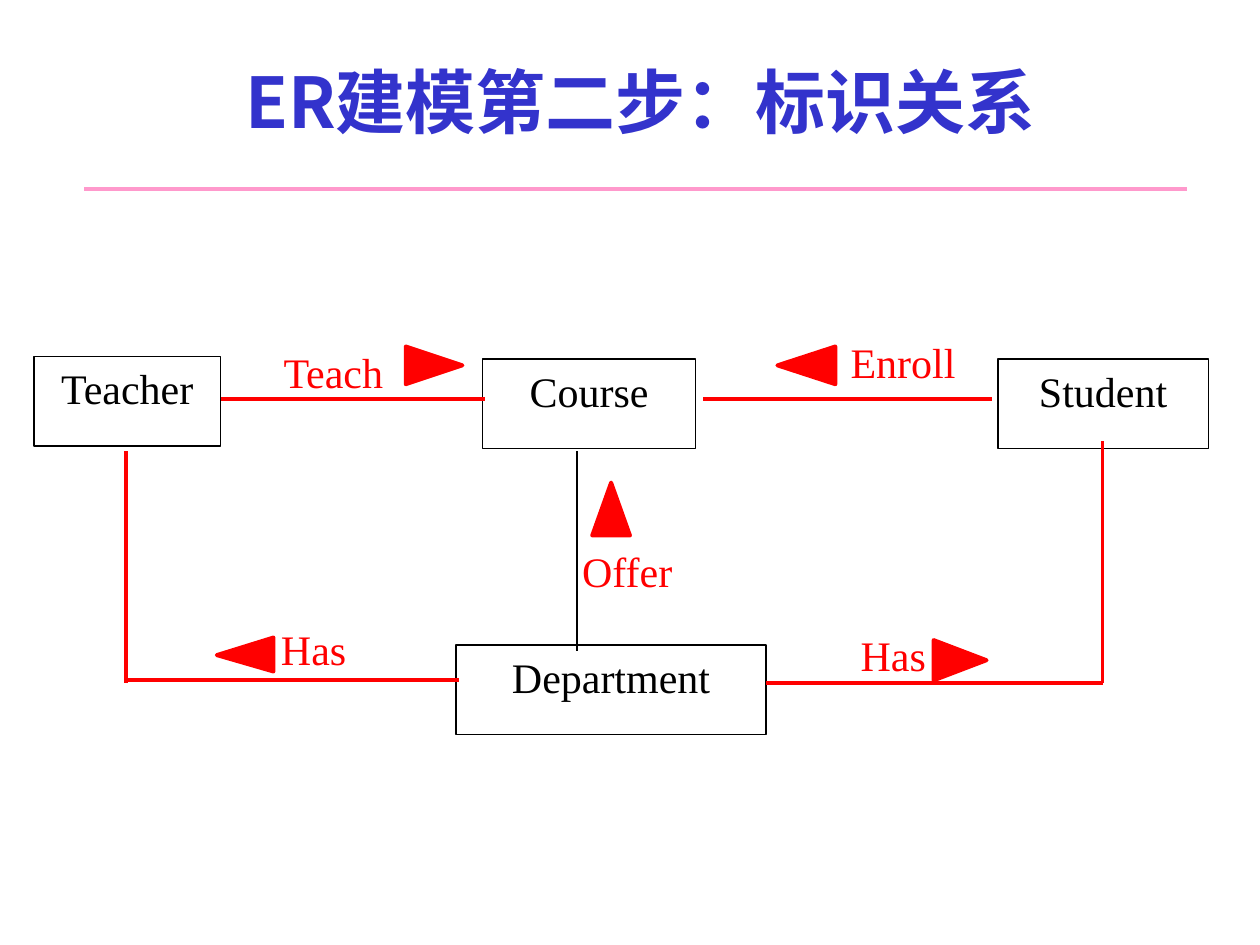
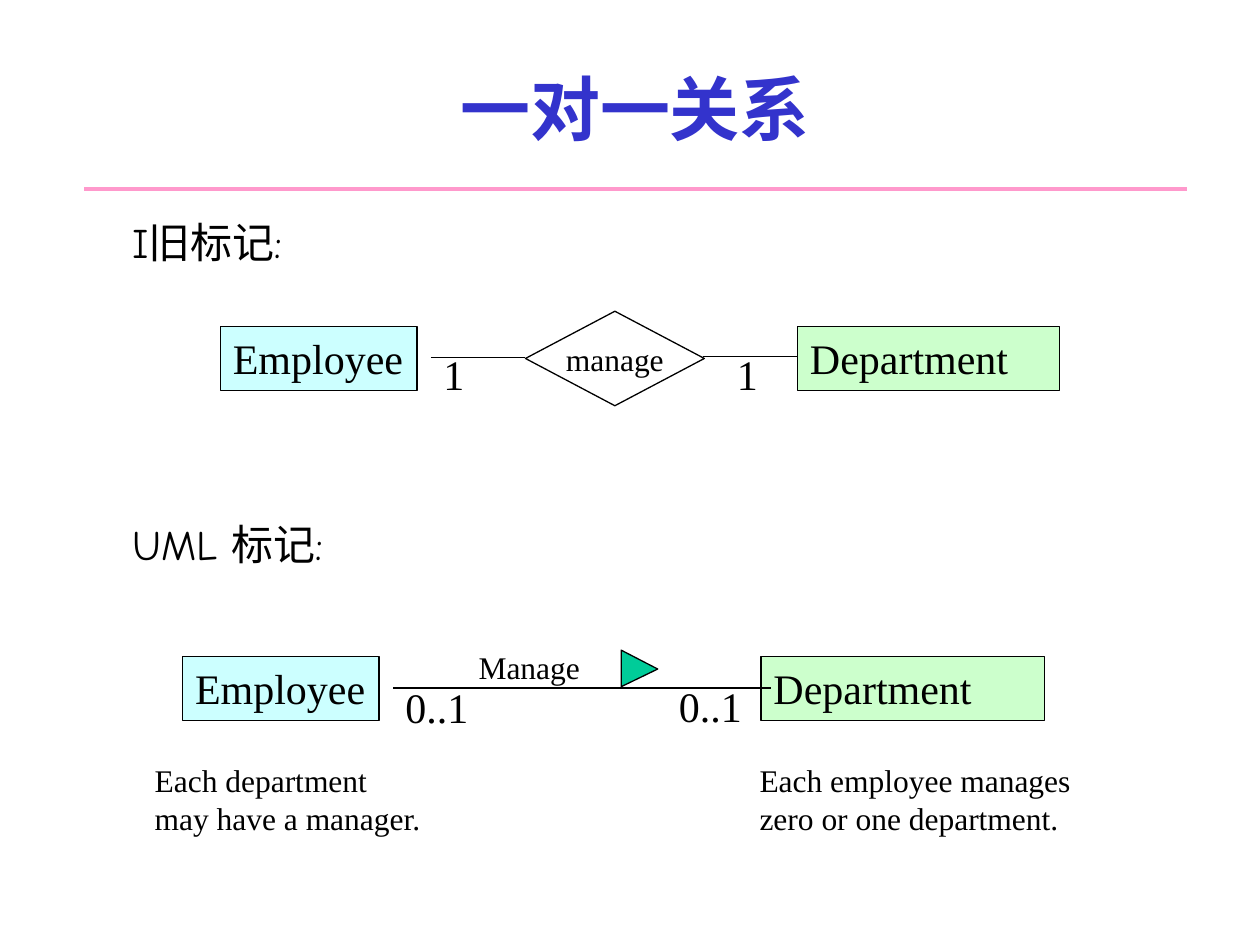
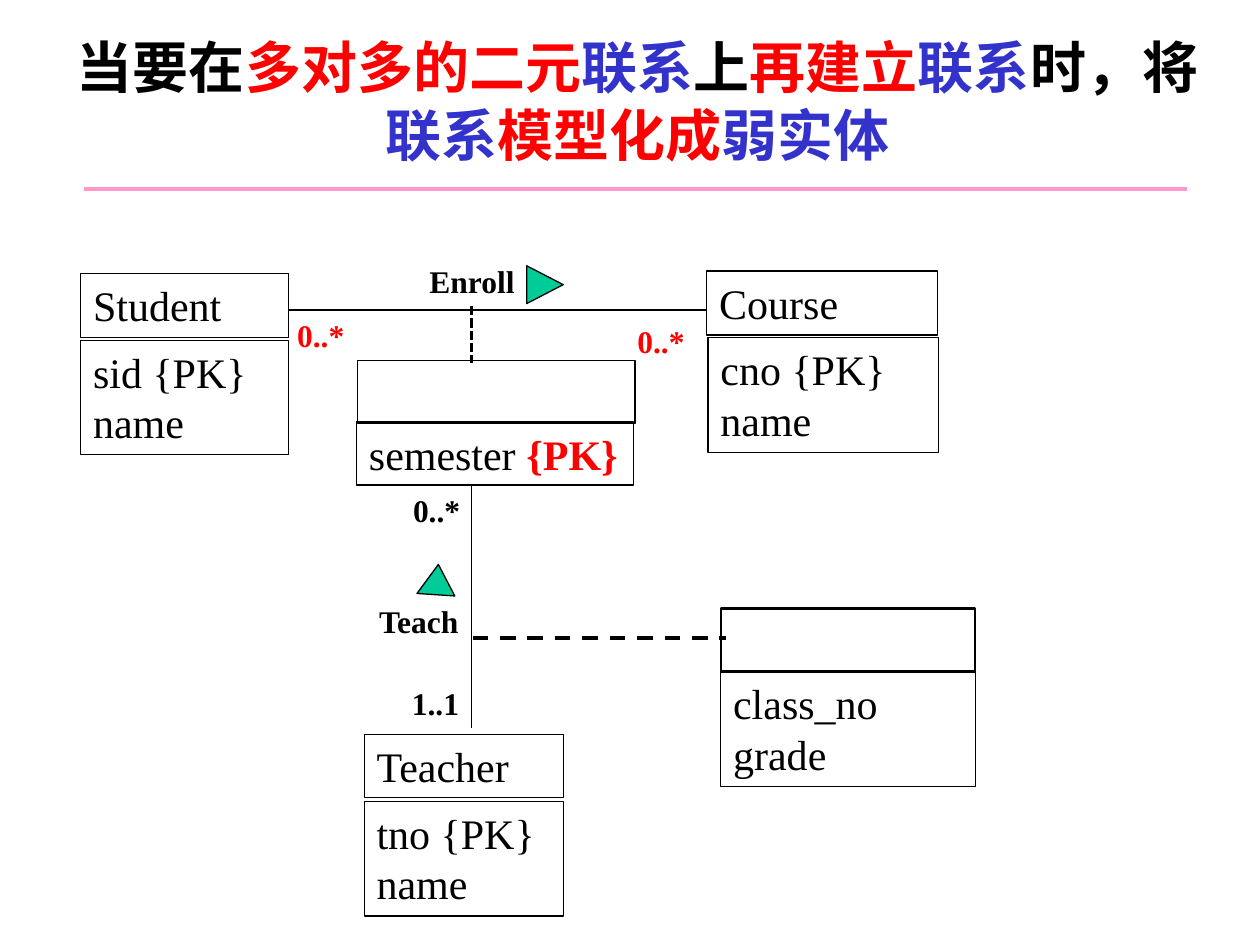
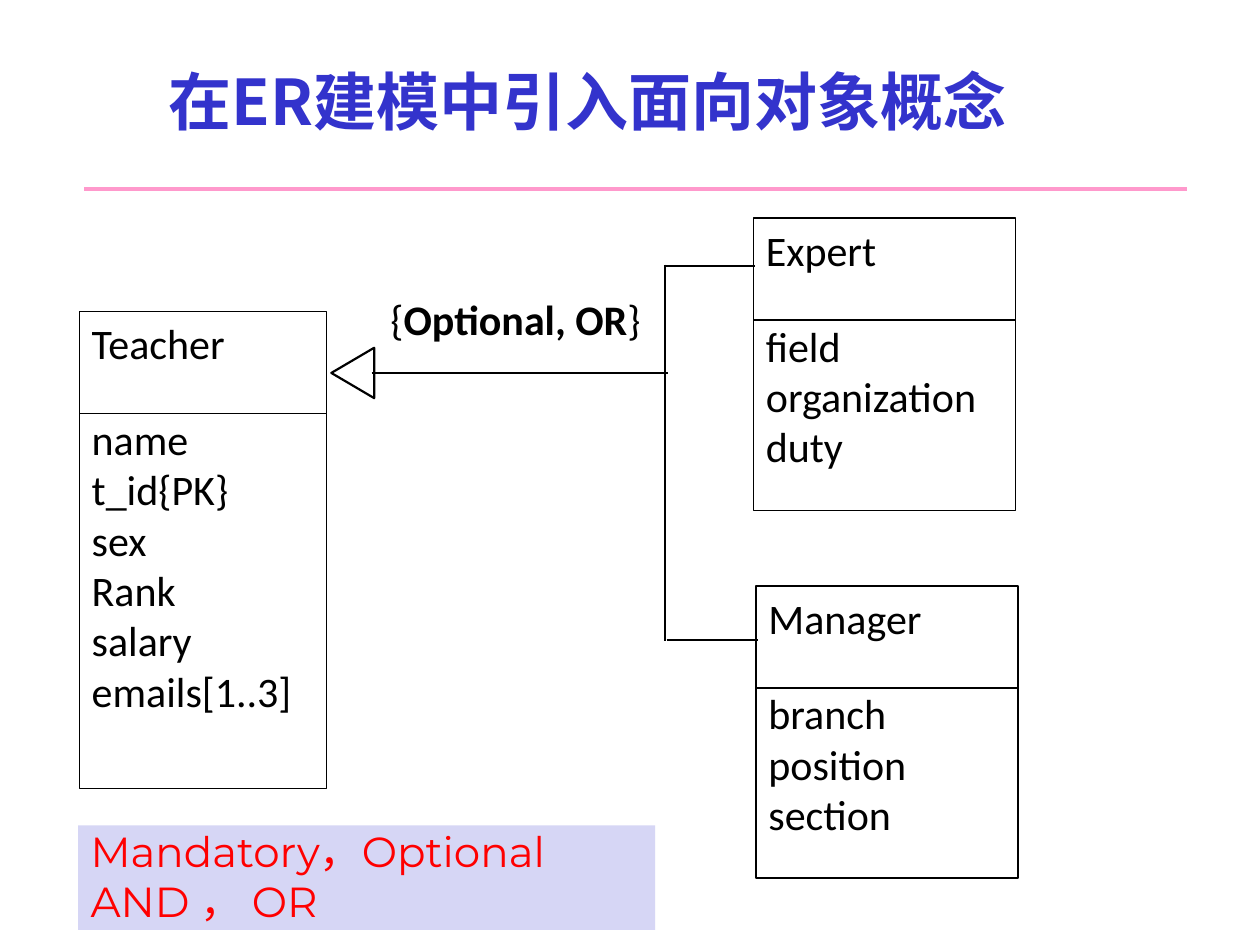
from dataclasses import dataclass

from lxml.etree import SubElement
from pptx import Presentation
from pptx.dml.color import RGBColor
from pptx.enum.dml import MSO_LINE
from pptx.enum.shapes import MSO_CONNECTOR, MSO_SHAPE
from pptx.enum.text import MSO_ANCHOR, PP_ALIGN
from pptx.oxml.ns import qn
from pptx.util import Inches, Pt


@dataclass(frozen=True)
class Theme:
    black: str = "000000"
    white: str = "FFFFFF"
    red: str = "FF0000"
    blue: str = "3333CC"
    pink: str = "FF99CC"
    cyan: str = "CCFFFF"
    pale_green: str = "CCFFCC"
    green: str = "00CC99"
    lavender: str = "D6D6F5"
    title_font: str = "Noto Sans CJK SC"
    diagram_font: str = "Times New Roman"
    class_font: str = "Calibri"
    heading_font: str = "Comic Neue"
    note_font: str = "Montserrat"
    title: int = 40
    long_title: int = 36
    two_line_title: int = 32
    body: int = 24
    small: int = 18
    thin: float = 0.75
    medium: float = 1.25
    thick: float = 2.25


theme = Theme()


def add_box(page, at, lines=(), kind=None, fill=None, line=None, width=theme.thin,
            font=theme.diagram_font, size=theme.body, color=theme.black, bold=False,
            align=PP_ALIGN.LEFT, anchor=MSO_ANCHOR.TOP, inset=(0.1, 0.05), wrap=True):
    place = [Inches(value) for value in at]
    if kind is None:
        box = page.shapes.add_textbox(*place)
    else:
        box = page.shapes.add_shape(kind, *place)
        box.shadow.inherit = False
    if fill:
        box.fill.solid()
        box.fill.fore_color.rgb = RGBColor.from_string(fill)
    else:
        box.fill.background()
    if line:
        box.line.color.rgb = RGBColor.from_string(line)
        box.line.width = Pt(width)
    else:
        box.line.fill.background()
    frame = box.text_frame
    frame.word_wrap = wrap
    frame.vertical_anchor = anchor
    frame.margin_left = frame.margin_right = Inches(inset[0])
    frame.margin_top = frame.margin_bottom = Inches(inset[1])
    for index, spans in enumerate(lines):
        para = frame.add_paragraph() if index else frame.paragraphs[0]
        para.alignment = align
        para.font.name = font
        para.font.size = Pt(size)
        para.font.bold = bold
        para.font.color.rgb = RGBColor.from_string(color)
        SubElement(para._p.pPr.find(qn("a:defRPr")), qn("a:ea"), typeface=theme.title_font)
        if isinstance(spans, str):
            spans = [(spans, color, bold)]
        for text, span_color, span_bold in spans:
            span = para.add_run()
            span.text = text
            if span_color != color:
                span.font.color.rgb = RGBColor.from_string(span_color)
            if span_bold != bold:
                span.font.bold = span_bold
    return box


def add_line(page, start, end, color=theme.black, width=theme.thin, dash=None):
    ends = [Inches(value) for value in (*start, *end)]
    connector = page.shapes.add_connector(MSO_CONNECTOR.STRAIGHT, *ends)
    connector.line.color.rgb = RGBColor.from_string(color)
    connector.line.width = Pt(width)
    if dash:
        connector.line.dash_style = dash
    SubElement(connector._element.spPr, qn("a:effectLst"))


deck = Presentation()
deck.slide_width = Inches(10)
deck.slide_height = Inches(7.5)

weak_entity_title = [
    ("当要在", theme.black, True), ("多对多的二元", theme.red, True),
    ("联系", theme.blue, True), ("上", theme.black, True),
    ("再建立", theme.red, True), ("联系", theme.blue, True),
    ("时，将", theme.black, True), ("联系", theme.blue, True),
    ("模型化成", theme.red, True), ("弱实体", theme.blue, True),
]
titles = [
    ("ER建模第二步：标识关系", (0.83, 0.17, 8.5, 1.25), theme.title),
    ("一对一关系", (0.79, 0.23, 8.5, 1.25), theme.title),
    (weak_entity_title, (0.4, 0.17, 9.32, 1.25), theme.two_line_title),
    ("在ER建模中引入面向对象概念", (0, 0.17, 9.33, 1.25), theme.long_title),
]
pages = []
for title, at, size in titles:
    page = deck.slides.add_slide(deck.slide_layouts[6])
    add_line(page, (0.67, 1.5), (9.42, 1.5), theme.pink, 2)
    add_box(page, at, [title], font=theme.title_font, size=size, color=theme.blue, bold=True,
            align=PP_ALIGN.CENTER, anchor=MSO_ANCHOR.MIDDLE)
    pages.append(page)
relations, one_to_one, weak_entity, inheritance = pages

for name, left, top, width in [
    ("Student", 7.92, 2.85, 1.67),
    ("Department", 3.62, 5.12, 2.46),
    ("Course", 3.83, 2.85, 1.69),
    ("Teacher", 0.27, 2.83, 1.48),
]:
    add_box(relations, (left, top, width, 0.71), [name], MSO_SHAPE.RECTANGLE,
            theme.white, theme.black, align=PP_ALIGN.CENTER)
for start, end in [
    ((1.75, 3.17), (3.85, 3.17)),
    ((5.58, 3.17), (7.87, 3.17)),
    ((1, 3.58), (1, 5.42)),
    ((1, 5.4), (3.64, 5.4)),
    ((8.75, 3.5), (8.75, 5.42)),
    ((6.08, 5.42), (8.75, 5.42)),
]:
    add_line(relations, start, end, theme.red, theme.thick)
add_line(relations, (4.58, 3.58), (4.58, 5.17))
for name, at in [
    ("Offer", (4.62, 4.33, 1.3, 0.5)),
    ("Teach", (2.25, 2.75, 1.11, 0.32)),
    ("Enroll", (6.75, 2.67, 1.12, 0.49)),
    ("Has", (2.23, 4.95, 1.19, 0.46)),
    ("Has", (6.83, 5, 0.88, 0.33)),
]:
    add_box(relations, at, [name], color=theme.red, inset=(0, 0))
offer_arrow = add_box(relations, (4.7, 3.83, 0.3, 0.42), kind=MSO_SHAPE.FLOWCHART_MERGE,
                      fill=theme.red, line=theme.red, width=theme.thick)
offer_arrow.rotation = 180

for heading, top in [("I旧标记:", 1.67), ("UML 标记:", 4.07)]:
    add_box(one_to_one, (0.95, top, 8.8, 0.5), [heading], font=theme.heading_font)
for employee_left, department_left, department_width, top in [
    (1.75, 6.33, 2.08, 2.59),
    (1.45, 6.04, 2.25, 5.21),
]:
    add_box(one_to_one, (employee_left, top, 1.56, 0.51), ["Employee"], MSO_SHAPE.RECTANGLE,
            theme.cyan, theme.black, wrap=False)
    add_box(one_to_one, (department_left, top, department_width, 0.51), ["Department"],
            MSO_SHAPE.RECTANGLE, theme.pale_green, theme.black)
add_box(one_to_one, (4.17, 2.47, 1.42, 0.75), ["manage"], MSO_SHAPE.DIAMOND, line=theme.black,
        size=theme.small, align=PP_ALIGN.CENTER, anchor=MSO_ANCHOR.MIDDLE, wrap=False)
for start, end in [
    ((3.42, 2.84), (4.17, 2.84)),
    ((5.58, 2.83), (6.33, 2.83)),
    ((3.12, 5.46), (6.12, 5.46)),
]:
    add_line(one_to_one, start, end)
for count, left, top, width in [
    ("1", 3.42, 2.72, 0.37),
    ("1", 5.75, 2.72, 0.37),
    ("0..1", 3.12, 5.36, 0.7),
    ("0..1", 5.29, 5.35, 0.7),
]:
    add_box(one_to_one, (left, top, width, 0.5), [count], wrap=False)
for lines, at in [
    (["Manage"], (3.7, 5.09, 1.27, 0.4)),
    (["Each department", "may have a manager."], (1.13, 5.99, 2.33, 0.7)),
    (["Each employee manages", "zero or one department."], (5.93, 5.99, 2.67, 0.7)),
]:
    add_box(one_to_one, at, lines, size=theme.small, wrap=False)

for lines, at, border in [
    (["Teacher"], (2.89, 5.83, 1.58, 0.5), theme.thin),
    (["tno {PK}", "name"], (2.89, 6.36, 1.58, 0.91), theme.thin),
    ([], (5.72, 4.83, 2.02, 0.5), theme.medium),
    (["class_no", "grade"], (5.72, 5.33, 2.02, 0.91), theme.thin),
    (["Student"], (0.64, 2.17, 1.65, 0.51), theme.thin),
    (["sid {PK}", "name"], (0.64, 2.7, 1.65, 0.91), theme.thin),
    (["Course"], (5.61, 2.15, 1.83, 0.51), theme.thin),
    (["cno {PK}", "name"], (5.62, 2.68, 1.83, 0.91), theme.thin),
    ([], (2.84, 2.86, 2.2, 0.5), theme.thin),
    ([[("semester ", theme.black, False), ("{PK}", theme.red, True)]],
     (2.83, 3.35, 2.2, 0.5), theme.thin),
]:
    add_box(weak_entity, at, lines, MSO_SHAPE.RECTANGLE, line=theme.black, width=border)
add_line(weak_entity, (3.74, 3.85), (3.74, 5.78))
add_line(weak_entity, (2.29, 2.46), (5.6, 2.46))
add_line(weak_entity, (3.75, 5.06), (5.76, 5.06), width=theme.thick, dash=MSO_LINE.DASH)
add_line(weak_entity, (3.74, 2.43), (3.74, 2.88), width=1.75, dash=MSO_LINE.SQUARE_DOT)
for label, left, top, width, color in [
    ("1..1", 3.17, 5.38, 0.6, theme.black),
    ("Teach", 2.91, 4.73, 0.85, theme.black),
    ("0..*", 3.18, 3.85, 0.6, theme.black),
    ("0..*", 2.26, 2.46, 0.6, theme.red),
    ("Enroll", 3.31, 2.03, 0.9, theme.black),
    ("0..*", 4.96, 2.51, 0.6, theme.red),
]:
    add_box(weak_entity, (left, top, width, 0.4), [label], size=theme.small, color=color,
            bold=True, wrap=False)

note = add_box(inheritance, (0.62, 6.55, 4.58, 0.83), ["Mandatory，Optional", "AND ， OR"],
               MSO_SHAPE.RECTANGLE, theme.lavender, font=theme.note_font, color=theme.red)
for para in note.text_frame.paragraphs:
    para.line_spacing = 0.9
    para.space_before = Pt(2.4)
for name, attributes, left, top, width, height in [
    ("Teacher", ["name", "t_id{PK}", "sex", "Rank", "salary", "emails[1..3]"],
     0.63, 2.47, 1.96, 2.98),
    ("Expert", ["field", "organization", "duty"], 5.98, 1.73, 2.08, 1.51),
    ("Manager", ["branch", "position", "section"], 6, 4.65, 2.08, 1.51),
]:
    add_box(inheritance, (left, top, width, 0.81), [name], MSO_SHAPE.RECTANGLE,
            theme.white, theme.black, font=theme.class_font)
    add_box(inheritance, (left, top + 0.81, width, height), attributes, MSO_SHAPE.RECTANGLE,
            theme.white, theme.black, font=theme.class_font, inset=(0.1, 0))
parent_arrow = add_box(inheritance, (2.6, 2.79, 0.4, 0.34), kind=MSO_SHAPE.ISOSCELES_TRIANGLE,
                       line=theme.black, width=theme.medium)
parent_arrow.rotation = 270
for start, end in [
    ((2.95, 2.96), (5.3, 2.96)),
    ((5.27, 2.11), (5.99, 2.11)),
    ((5.29, 5.08), (6.02, 5.08)),
    ((5.28, 2.1), (5.28, 5.09)),
]:
    add_line(inheritance, start, end, width=theme.medium)
constraint = [("{", theme.black, False), ("Optional, OR", theme.black, True),
              ("}", theme.black, False)]
add_box(inheritance, (3, 2.28, 2.33, 0.81), [constraint], font=theme.class_font)

red_style = (theme.red, theme.red, theme.thick)
green_style = (theme.green, theme.black, theme.thin)
for page, points, (fill, line, width) in [
    (relations, [(3.22, 2.75), (3.67, 2.9), (3.22, 3.05)], red_style),
    (relations, [(6.63, 2.75), (6.17, 2.9), (6.63, 3.05)], red_style),
    (relations, [(7.41, 5.08), (7.83, 5.24), (7.41, 5.4)], red_style),
    (relations, [(2.17, 5.06), (1.72, 5.2), (2.17, 5.33)], red_style),
    (one_to_one, [(4.93, 5.16), (5.22, 5.31), (4.93, 5.45)], green_style),
    (weak_entity, [(3.61, 4.73), (3.48, 4.48), (3.31, 4.71)], green_style),
    (weak_entity, [(4.18, 2.11), (4.47, 2.26), (4.18, 2.41)], green_style),
]:
    corners = [(Inches(x), Inches(y)) for x, y in points]
    builder = page.shapes.build_freeform(*corners[0])
    builder.add_line_segments(corners[1:], close=True)
    arrow = builder.convert_to_shape()
    arrow.shadow.inherit = False
    arrow.fill.solid()
    arrow.fill.fore_color.rgb = RGBColor.from_string(fill)
    arrow.line.color.rgb = RGBColor.from_string(line)
    arrow.line.width = Pt(width)

deck.save("out.pptx")
